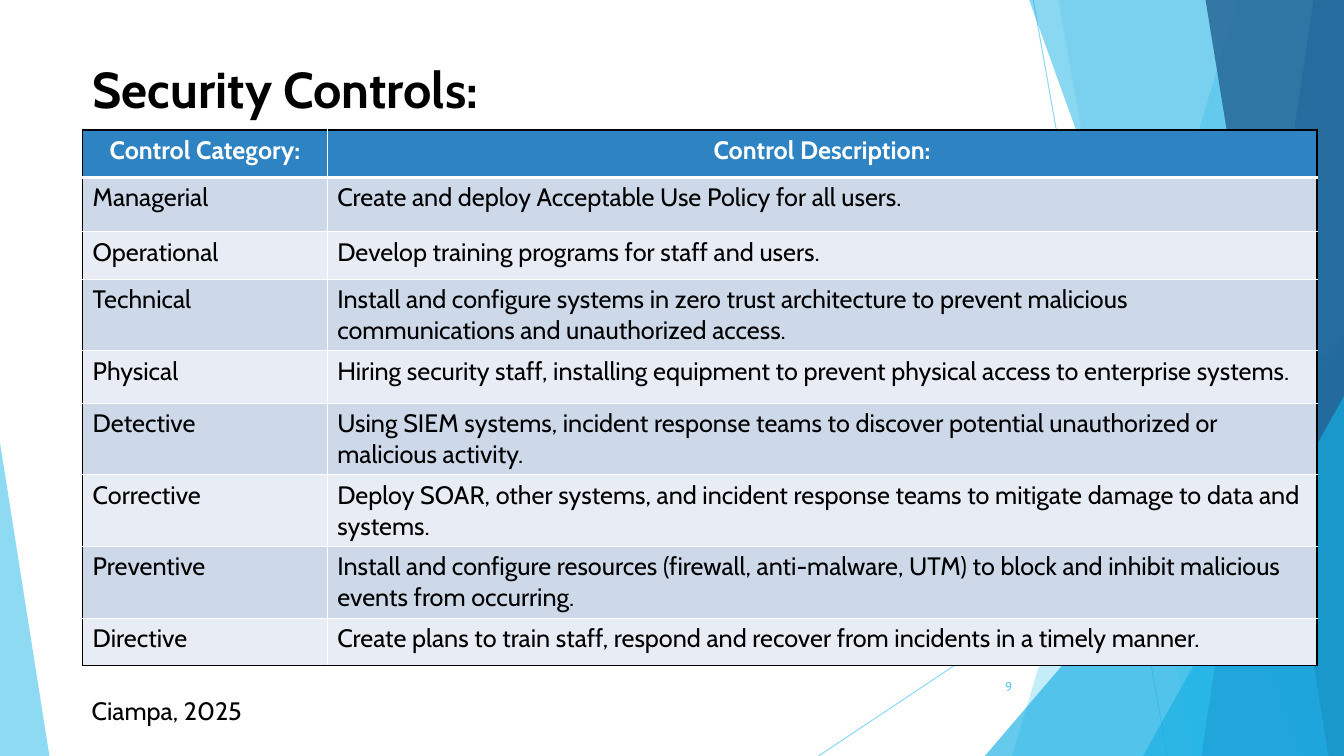
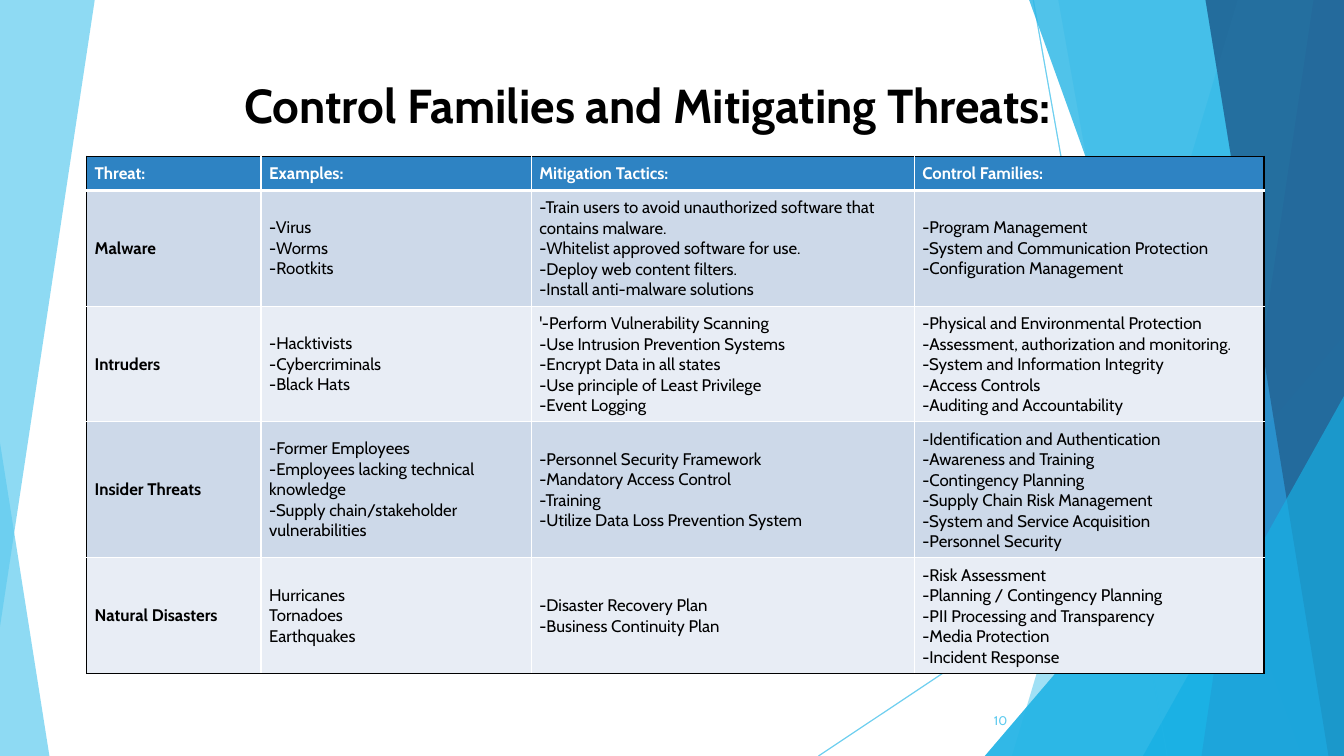
"""Build two slides on security controls and threat mitigation."""
from lxml import etree
from pptx import Presentation
from pptx.dml.color import RGBColor
from pptx.enum.shapes import MSO_CONNECTOR, MSO_SHAPE
from pptx.enum.text import MSO_ANCHOR, MSO_AUTO_SIZE, PP_ALIGN
from pptx.oxml.ns import qn
from pptx.util import Inches, Pt

LEFT, CENTER, RIGHT = PP_ALIGN.LEFT, PP_ALIGN.CENTER, PP_ALIGN.RIGHT
TOP, MIDDLE, BOTTOM = MSO_ANCHOR.TOP, MSO_ANCHOR.MIDDLE, MSO_ANCHOR.BOTTOM
STRAIGHT, TRIANGLE = MSO_CONNECTOR.STRAIGHT, MSO_SHAPE.ISOSCELES_TRIANGLE
NO_AUTOFIT = MSO_AUTO_SIZE.NONE
TITLE_ONLY = 5

FONT = "Cabin"
COLORS = {
    "black": "000000",
    "white": "FFFFFF",
    "sky": "5FCBEF",
    "cyan": "17B0E4",
    "blue": "2E83C3",
    "navy": "226292",
    "row_dark": "CDD9E9",
    "row_light": "E8EDF5",
}

CONTROLS = [
    ["Control Category:", "Control Description:"],
    ["Managerial", "Create and deploy Acceptable Use Policy for all users."],
    ["Operational", "Develop training programs for staff and users."],
    ["Technical", "Install and configure systems in zero trust architecture to prevent "
     "malicious communications and unauthorized access."],
    ["Physical", "Hiring security staff, installing equipment to prevent physical access "
     "to enterprise systems."],
    ["Detective", "Using SIEM systems, incident response teams to discover potential "
     "unauthorized or malicious activity."],
    ["Corrective", "Deploy SOAR, other systems, and incident response teams to mitigate "
     "damage to data and systems."],
    ["Preventive", "Install and configure resources (firewall, anti-malware, UTM) to block "
     "and inhibit malicious events from occurring."],
    ["Directive", "Create plans to train staff, respond and recover from incidents in a "
     "timely manner."],
]

THREATS = [
    ["Threat:", "Examples:", "Mitigation Tactics:", "Control Families:"],
    ["Malware",
     "-Virus\n-Worms\n-Rootkits",
     "-Train users to avoid unauthorized software that contains malware.\n"
     "-Whitelist approved software for use.\n-Deploy web content filters.\n"
     "-Install anti-malware solutions",
     "-Program Management\n-System and Communication Protection\n"
     "-Configuration Management"],
    ["Intruders",
     "-Hacktivists\n-Cybercriminals\n-Black Hats",
     "'-Perform Vulnerability Scanning\n-Use Intrusion Prevention Systems\n"
     "-Encrypt Data in all states\n-Use principle of Least Privilege\n-Event Logging",
     "-Physical and Environmental Protection\n"
     "-Assessment, authorization and monitoring.\n"
     "-System and Information Integrity\n-Access Controls\n"
     "-Auditing and Accountability"],
    ["Insider Threats",
     "-Former Employees\n-Employees lacking technical knowledge\n"
     "-Supply chain/stakeholder vulnerabilities",
     "-Personnel Security Framework\n-Mandatory Access Control\n-Training\n"
     "-Utilize Data Loss Prevention System",
     "-Identification and Authentication\n-Awareness and Training\n"
     "-Contingency Planning\n-Supply Chain Risk Management\n"
     "-System and Service Acquisition\n-Personnel Security"],
    ["Natural Disasters",
     "Hurricanes\nTornadoes\nEarthquakes",
     "-Disaster Recovery Plan\n-Business Continuity Plan",
     "-Risk Assessment\n-Planning / Contingency Planning\n"
     "-PII Processing and Transparency\n-Media Protection\n-Incident Response"],
]


class Deck:
    """Hold the style and current slide; lengths are percent of the slide size."""

    def __init__(self):
        """Start a widescreen presentation."""
        self.prs = Presentation()
        self.prs.slide_width, self.prs.slide_height = Inches(13.333), Inches(7.5)

    def x(self, share):
        """Convert a share of the width."""
        return round(self.prs.slide_width * share / 100)

    def y(self, share):
        """Convert a share of the height."""
        return round(self.prs.slide_height * share / 100)

    def box(self, left, top, width, height):
        """Convert a whole frame."""
        return self.x(left), self.y(top), self.x(width), self.y(height)

    def color(self, name):
        """Look up a palette colour."""
        return RGBColor.from_string(COLORS[name])

    def add_slide(self):
        """Start a slide and draw its backdrop."""
        self.s = self.prs.slides.add_slide(self.prs.slide_layouts[TITLE_ONLY])
        self.backdrop()

    def fade(self, shape, opacity):
        """Make the colours of a shape see-through."""
        for clr in shape.element.spPr.iter(qn("a:srgbClr")):
            etree.SubElement(clr, qn("a:alpha"), val=str(opacity * 1000))

    def paint(self, shape, color, opacity):
        """Give a shape a flat translucent fill."""
        shape.shadow.inherit = False
        shape.fill.solid()
        shape.fill.fore_color.rgb = self.color(color)
        shape.line.fill.background()
        self.fade(shape, opacity)

    def line(self, shapes, x1, y1, x2, y2):
        """Draw a thin backdrop line."""
        c = shapes.add_connector(STRAIGHT, self.x(x1), self.y(y1), self.x(x2), self.y(y2))
        c.line.color.rgb = self.color("sky")
        c.line.width = Pt(0.75)
        etree.SubElement(c.element.spPr, qn("a:effectLst"))
        self.fade(c, 70)

    def polygon(self, shapes, points, color, opacity):
        """Draw a closed outline."""
        start, *rest = [(self.x(px), self.y(py)) for px, py in points]
        builder = shapes.build_freeform(*start)
        builder.add_line_segments(rest, close=True)
        self.paint(builder.convert_to_shape(), color, opacity)

    def band(self, shapes, top, bottom, color, opacity):
        """Draw a full-height band against the right edge."""
        points = [(top, 0), (100, 0), (100, 100), (bottom, 100)]
        self.polygon(shapes, points, color, opacity)

    def triangle(self, shapes, left, top, width, apex, color, opacity):
        """Draw a triangle standing on the bottom edge."""
        t = shapes.add_shape(TRIANGLE, *self.box(left, top, width, 100 - top))
        t.adjustments[0] = apex
        self.paint(t, color, opacity)

    def facets(self):
        """Draw the facets on the right as one group."""
        shapes = self.s.shapes.add_group_shape().shapes
        self.line(shapes, 76.88, 0, 86.85, 100)
        self.line(shapes, 100, 53.73, 60.9, 100)
        self.band(shapes, 92.1, 75.3, "sky", 36)
        self.band(shapes, 78.75, 88.73, "sky", 20)
        self.triangle(shapes, 73.28, 44.4, 26.72, 1, "cyan", 66)
        self.band(shapes, 76.58, 96.83, "cyan", 50)
        self.band(shapes, 97.73, 89.4, "blue", 70)
        self.band(shapes, 89.7, 98.85, "navy", 80)
        self.triangle(shapes, 85.05, 52.4, 14.95, 1, "cyan", 66)

    def backdrop(self):
        """Draw the facets and the lower left wedge."""
        self.facets()
        self.triangle(self.s.shapes, 0, 58.53, 3.68, 0, "sky", 70)

    def corner(self):
        """Draw the upper left wedge."""
        self.polygon(self.s.shapes, [(0, 0), (7.05, 0), (0, 82.93)], "sky", 70)

    def set_text(self, tf, text, size, color="black", bold=False, align=LEFT):
        """Set text and format its runs."""
        tf.text = text
        tf.word_wrap = True
        for p in tf.paragraphs:
            p.alignment = align
            for r in p.runs:
                r.font.name, r.font.size, r.font.bold = FONT, Pt(size), bold
                r.font.color.rgb = self.color(color)

    def title(self, text, frame, size, align=LEFT, anchor=TOP, spacing=1.0):
        """Place the title in front of the backdrop."""
        sp = self.s.shapes.title
        sp.element.getparent().append(sp.element)
        sp.left, sp.top, sp.width, sp.height = self.box(*frame)
        tf = sp.text_frame
        self.set_text(tf, text, size, bold=True, align=align)
        tf.auto_size, tf.vertical_anchor = NO_AUTOFIT, anchor
        tf.paragraphs[0].line_spacing = spacing

    def text(self, text, frame, size, color="black", align=LEFT, anchor=TOP):
        """Add a text box."""
        tf = self.s.shapes.add_textbox(*self.box(*frame)).text_frame
        self.set_text(tf, text, size, color, align=align)
        tf.vertical_anchor = anchor

    def number(self, text, left, top):
        """Add the slide number."""
        self.text(text, (left, top, 5.63, 5.33), 9, "sky", RIGHT, MIDDLE)

    def border(self, cell, side, color, width):
        """Draw one side of a cell."""
        ln = etree.SubElement(cell._tc.get_or_add_tcPr(), qn(f"a:ln{side}"), w=str(Pt(width)))
        fill = etree.SubElement(ln, qn("a:solidFill"))
        etree.SubElement(fill, qn("a:srgbClr"), val=COLORS[color])

    def table(self, data, left, top, cols, rows, size, head_align=LEFT,
              bold_first=False, anchor=TOP, margins=(0.1, 0.05, 0.1, 0.05)):
        """Add a banded table with a black frame and white inner rules."""
        frame = self.box(left, top, sum(cols), sum(rows))
        table = self.s.shapes.add_table(len(rows), len(cols), *frame).table
        for column, width in zip(table.columns, cols):
            column.width = self.x(width)
        for row, height in zip(table.rows, rows):
            row.height = self.y(height)
        last_row, last_col = len(rows) - 1, len(cols) - 1
        for i, values in enumerate(data):
            head = i == 0
            band = "blue" if head else "row_dark" if i % 2 else "row_light"
            for j, value in enumerate(values):
                cell = table.cell(i, j)
                self.set_text(cell.text_frame, value, size, "white" if head else "black",
                              head or (bold_first and j == 0), head_align if head else LEFT)
                cell.vertical_anchor = anchor
                (cell.margin_left, cell.margin_top,
                 cell.margin_right, cell.margin_bottom) = map(Inches, margins)
                edges = {"L": j == 0, "R": j == last_col, "T": head, "B": i == last_row}
                for side, outer in edges.items():
                    heavy = (i, side) in ((0, "B"), (1, "T"))
                    self.border(cell, side, "black" if outer else "white", 3 if heavy else 1)
                cell.fill.solid()
                cell.fill.fore_color.rgb = self.color(band)


def main():
    """Build and save both slides."""
    deck = Deck()

    deck.add_slide()
    deck.title("Security Controls:", (6.15, 7.07, 35.25, 10.27), 36)
    deck.table(CONTROLS, 6.15, 17.2, [18.2, 73.65],
               [6.27, 7.2, 6.27, 9.4, 6.93, 9.4, 9.4, 9.4, 6.27], 18, CENTER)
    deck.number("9", 70.43, 88.13)
    deck.text("Ciampa, 2025", (6.08, 91.33, 18.53, 5.33), 18)

    deck.add_slide()
    deck.corner()
    deck.facets()
    deck.title("Control Families and Mitigating Threats:", (9.23, 7.6, 77.93, 10.8),
               34, CENTER, BOTTOM, 0.9)
    deck.number("10", 70.05, 92.67)
    deck.table(THREATS, 6.45, 20.67, [12.98, 20.1, 28.5, 26.03],
               [4.3, 15.3, 15.3, 18, 15.3], 12, bold_first=True, anchor=MIDDLE,
               margins=(0.08, 0.07, 0.07, 0.07))

    deck.prs.save("out.pptx")


if __name__ == "__main__":
    main()
